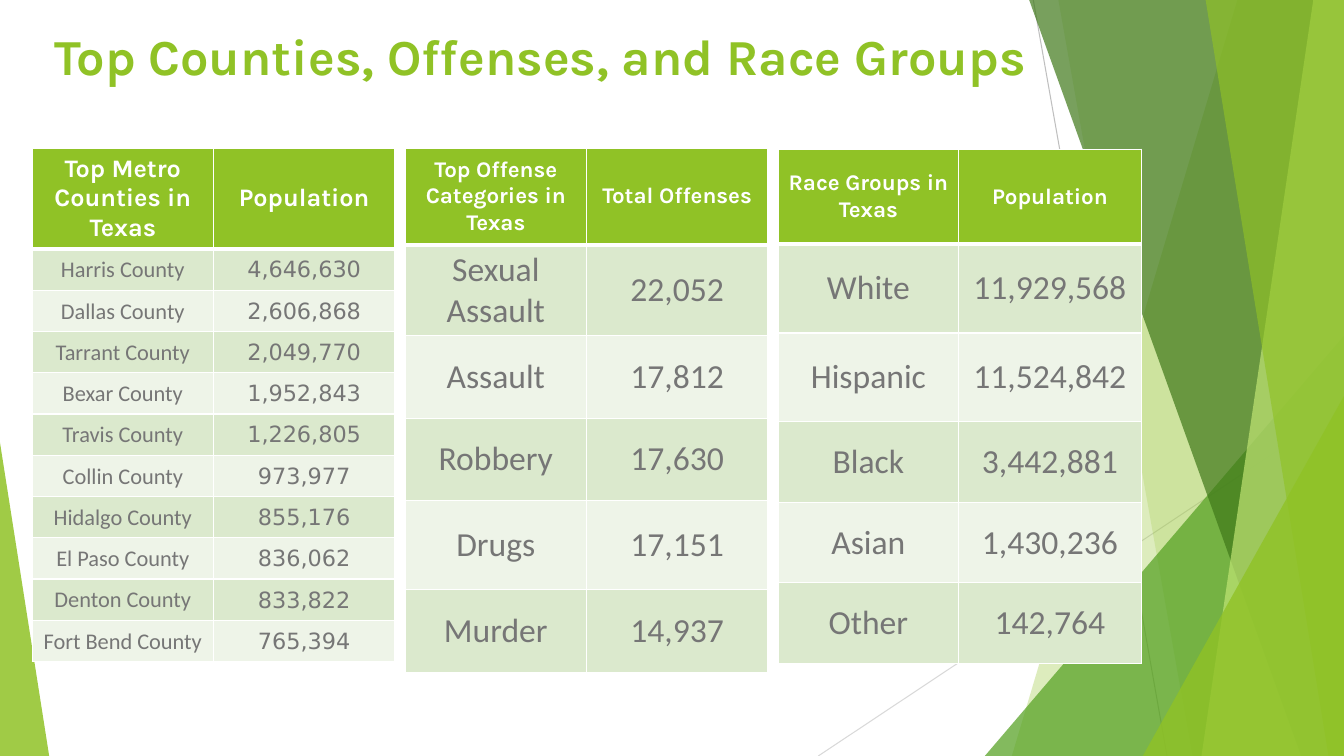
import pptx
import pptx.util
import pptx.dml.color
import pptx.enum.shapes
import pptx.enum.text
import pptx.oxml
from pptx.oxml.ns import qn
from lxml import etree
from pptx.util import Cm

COLOURS = {
    "lime": "90C226", "green": "54A021", "forest": "3F7819", "pale": "C0E474",
    "band_dark": "DBE9CD", "band_light": "EEF4E8", "white": "FFFFFF",
    "text": "767676", "line": "BFBFBF", "line_light": "D9D9D9",
}
RIGHT, TOP, BOTTOM = 33.87, -0.02, 19.05


def rgb(name):
    return pptx.dml.color.RGBColor.from_string(COLOURS[name])


def style_text(frame, font_name, size, colour, bold):
    """Centre the first paragraph and format its run."""
    para = frame.paragraphs[0]
    para.alignment = pptx.enum.text.PP_ALIGN.CENTER
    font = para.runs[0].font
    font.name, font.size, font.bold = font_name, pptx.util.Pt(size), bold
    font.color.rgb = rgb(colour)


deck = pptx.Presentation()
deck.slide_width, deck.slide_height = Cm(RIGHT), Cm(BOTTOM)
page = deck.slides.add_slide(deck.slide_layouts[6])

# Thin background lines
for x1, y1, x2, y2, colour in [
    (26.04, 0, 29.41, BOTTOM, "line"),
    (RIGHT, 10.24, 20.62, BOTTOM, "line_light"),
]:
    line = page.shapes.add_connector(
        pptx.enum.shapes.MSO_CONNECTOR.STRAIGHT, Cm(x1), Cm(y1), Cm(x2), Cm(y2))
    line.line.color.rgb = rgb(colour)
    line.line.width = pptx.util.Pt(0.75)
    etree.SubElement(line.element.spPr, qn("a:effectLst"))

# Facets: a band gives its top and bottom left corners and runs to the right edge;
# a triangle gives left, top, width and the place of its tip, and stands on the bottom edge
facets = [
    ("band", (31.19, 25.5), "lime", 30),
    ("band", (26.67, 30.05), "lime", 20),
    ("triangle", (24.82, 8.46, 9.05, 1), "green", 72),
    ("band", (25.93, 32.79), "forest", 70),
    ("band", (33.1, 30.28), "pale", 70),
    ("band", (30.38, 33.48), "lime", 65),
    ("triangle", (28.8, 9.98, 5.07, 1), "lime", 80),
    ("triangle", (0, 11.15, 1.24, 0), "lime", 85),
]
for kind, place, colour, opacity in facets:
    if kind == "band":
        top_left, bottom_left = place
        outline = page.shapes.build_freeform(Cm(top_left), Cm(TOP))
        outline.add_line_segments([
            (Cm(RIGHT), Cm(TOP)), (Cm(RIGHT), Cm(BOTTOM)), (Cm(bottom_left), Cm(BOTTOM))])
        facet = outline.convert_to_shape()
    else:
        left, top, width, tip = place
        facet = page.shapes.add_shape(
            pptx.enum.shapes.MSO_SHAPE.ISOSCELES_TRIANGLE,
            Cm(left), Cm(top), Cm(width), Cm(BOTTOM - top))
        facet.adjustments[0] = tip
    facet.shadow.inherit = False
    facet.line.fill.background()
    facet.fill.solid()
    facet.fill.fore_color.rgb = rgb(colour)
    fill_colour = facet.element.spPr.find(qn("a:solidFill")).find(qn("a:srgbClr"))
    etree.SubElement(fill_colour, qn("a:alpha")).set("val", str(opacity * 1000))

title = page.shapes.add_textbox(Cm(-0.99), Cm(0.51), Cm(29.21), Cm(2.51))
title.text_frame.word_wrap = True
title.text_frame.text = "Top Counties, Offenses, and Race Groups"
style_text(title.text_frame, "Karla", 36, "lime", True)

tables = [
    {
        "left": 0.81, "top": 3.73, "columns": [4.57, 4.57],
        "heights": [2.39] + [1.04] * 10,
        "header_size": 18, "body_size": 16, "value_font": "DejaVu Sans", "tight": True,
        "rows": [
            ("Top Metro Counties in Texas", "Population"),
            ("Harris County", "4,646,630"),
            ("Dallas County", "2,606,868"),
            ("Tarrant County", "2,049,770"),
            ("Bexar County", "1,952,843"),
            ("Travis County", "1,226,805"),
            ("Collin County", "973,977"),
            ("Hidalgo County", "855,176"),
            ("El Paso County", "836,062"),
            ("Denton County", "833,822"),
            ("Fort Bend County", "765,394"),
        ],
    },
    {
        "left": 10.21, "top": 3.73, "columns": [4.57, 4.57],
        "heights": [2.44, 2.08, 2.08, 2.08, 2.24, 2.08],
        "header_size": 16, "body_size": 24, "value_font": "Calibri", "tight": False,
        "rows": [
            ("Top Offense Categories in Texas", "Total Offenses"),
            ("Sexual Assault", "22,052"),
            ("Assault", "17,812"),
            ("Robbery", "17,630"),
            ("Drugs", "17,151"),
            ("Murder", "14,937"),
        ],
    },
    {
        "left": 19.61, "top": 3.76, "columns": [4.55, 4.6],
        "heights": [2.39, 2.24, 2.24, 2.03, 2.03, 2.03],
        "header_size": 16, "body_size": 24, "value_font": "Calibri", "tight": False,
        "rows": [
            ("Race Groups in Texas", "Population"),
            ("White", "11,929,568"),
            ("Hispanic", "11,524,842"),
            ("Black", "3,442,881"),
            ("Asian", "1,430,236"),
            ("Other", "142,764"),
        ],
    },
]
for data in tables:
    rows, columns, heights = data["rows"], data["columns"], data["heights"]
    table = page.shapes.add_table(
        len(rows), len(columns), Cm(data["left"]), Cm(data["top"]),
        Cm(sum(columns)), Cm(sum(heights))).table
    for column, width in zip(table.columns, columns):
        column.width = Cm(width)
    for r, (texts, height) in enumerate(zip(rows, heights)):
        table.rows[r].height = Cm(height)
        for c, text in enumerate(texts):
            cell = table.cell(r, c)
            cell.text_frame.text = text
            cell.vertical_anchor = pptx.enum.text.MSO_ANCHOR.MIDDLE
            if r == 0:
                fill = "lime"
                style_text(cell.text_frame, "Karla", data["header_size"], "white", True)
            else:
                fill = "band_dark" if r % 2 else "band_light"
                font_name = data["value_font"] if c else "Calibri"
                style_text(cell.text_frame, font_name, data["body_size"], "text", False)
                if data["tight"]:
                    cell.margin_left = cell.margin_right = cell.margin_top = Cm(0.03)
                    cell.margin_bottom = 0
            # The rule under the header row is thicker than the others
            thick_side = {0: "lnB", 1: "lnT"}.get(r)
            properties = cell._tc.get_or_add_tcPr()
            for side in ("lnL", "lnR", "lnT", "lnB"):
                border = etree.SubElement(properties, qn("a:" + side))
                border.set("w", str(pptx.util.Pt(3 if side == thick_side else 1)))
                paint = etree.SubElement(border, qn("a:solidFill"))
                etree.SubElement(paint, qn("a:srgbClr")).set("val", COLOURS["white"])
            cell.fill.solid()
            cell.fill.fore_color.rgb = rgb(fill)

deck.save("out.pptx")
